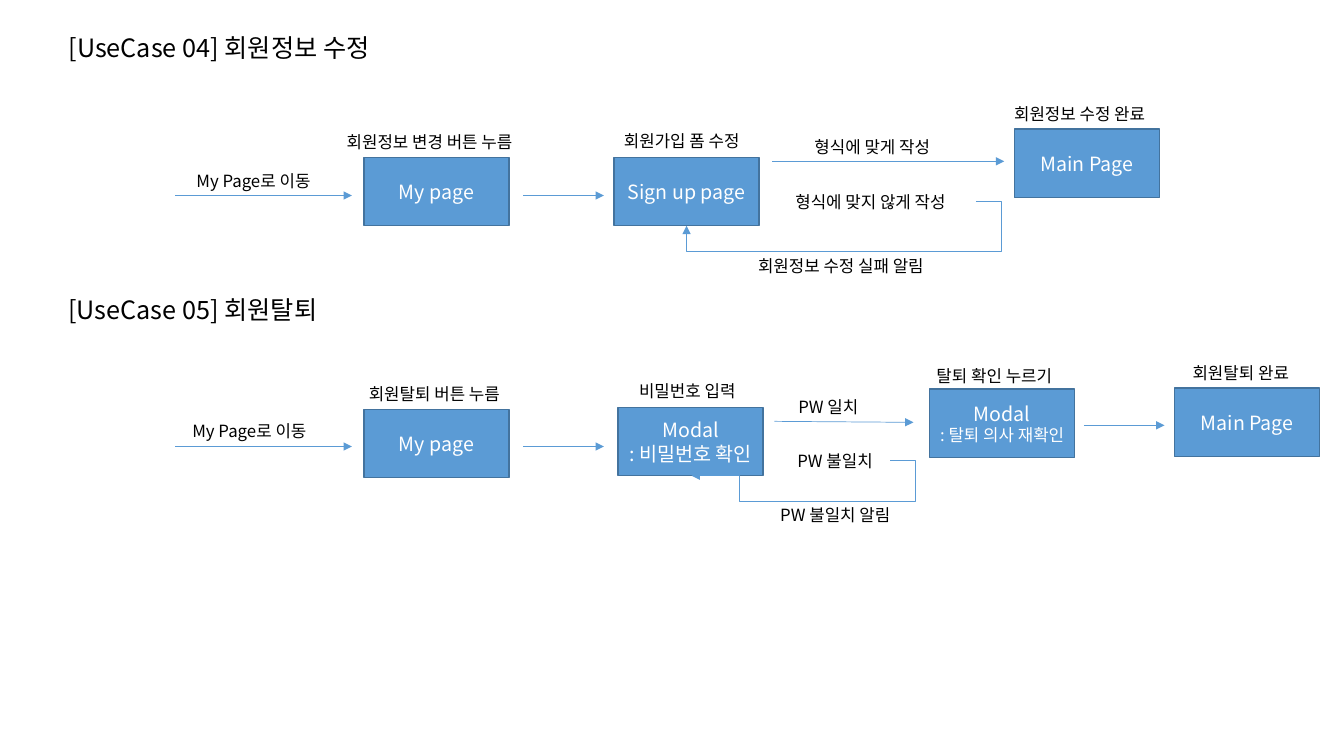
"""Build the use case slide with the profile edit and account withdrawal flows."""
from lxml import etree
from pptx import Presentation
from pptx.dml.color import RGBColor
from pptx.enum.shapes import MSO_CONNECTOR, MSO_SHAPE
from pptx.enum.text import MSO_ANCHOR, MSO_AUTO_SIZE, PP_ALIGN
from pptx.oxml.ns import qn
from pptx.util import Pt

PX = 9144
FONT = "Noto Sans CJK KR"
COLORS = {"black": "000000", "white": "FFFFFF", "blue": "5B9BD5", "edge": "43739E"}
STRAIGHT, ELBOW = MSO_CONNECTOR.STRAIGHT, MSO_CONNECTOR.ELBOW
RECTANGLE = MSO_SHAPE.RECTANGLE
TOP, MIDDLE = MSO_ANCHOR.TOP, MSO_ANCHOR.MIDDLE
LEFT, CENTER = PP_ALIGN.LEFT, PP_ALIGN.CENTER
GROW = MSO_AUTO_SIZE.SHAPE_TO_FIT_TEXT
BOX_WIDTH, BOX_HEIGHT, LABEL_HEIGHT, HEADING_HEIGHT = 144, 68, 30, 40


def write(frame, lines, color, align, anchor):
    """Fill a text frame with (text, size) lines."""
    frame.vertical_anchor = anchor
    for index, (text, size) in enumerate(lines):
        para = frame.add_paragraph() if index else frame.paragraphs[0]
        para.alignment = align
        span = para.add_run()
        span.text = text
        span.font.size = Pt(size)
        span.font.name = FONT
        span.font.color.rgb = RGBColor.from_string(COLORS[color])
        east_asian = etree.SubElement(span.font._element, qn("a:ea"))
        east_asian.set("typeface", FONT)


def connect(page, kind, points):
    """Draw a thin blue arrow and return it."""
    arrow = page.shapes.add_connector(kind, *(value * PX for value in points))
    arrow.line.color.rgb = RGBColor.from_string(COLORS["blue"])
    arrow.line.width = Pt(0.5)
    head = etree.SubElement(arrow.line._get_or_add_ln(), qn("a:tailEnd"))
    head.set("type", "triangle")
    etree.SubElement(arrow._element.spPr, qn("a:effectLst"))
    return arrow


deck = Presentation()
deck.slide_width, deck.slide_height = 1333 * PX, 750 * PX
page = deck.slides.add_slide(deck.slide_layouts[5])

title = page.shapes.title
title.left, title.top = 58 * PX, 27 * PX
title.width, title.height = 326 * PX, HEADING_HEIGHT * PX
title.text_frame.word_wrap = False
title.text_frame.auto_size = GROW
write(title.text_frame, [("[UseCase 04] 회원정보 수정", 18)], "black", LEFT, TOP)

steps = [
    (361, 156, [("My page", 14)]),
    (609, 156, [("Sign up page", 14)]),
    (1006, 128, [("Main Page", 14)]),
    (361, 406, [("My page", 14)]),
    (613, 404, [("Modal", 14), (": 비밀번호 확인", 14)]),
    (922, 386, [("Modal", 14), (": 탈퇴 의사 재확인", 12)]),
    (1165, 385, [("Main Page", 14)]),
]
for left, top, lines in steps:
    box = page.shapes.add_shape(RECTANGLE, left * PX, top * PX, BOX_WIDTH * PX, BOX_HEIGHT * PX)
    box.shadow.inherit = False
    box.fill.solid()
    box.fill.fore_color.rgb = RGBColor.from_string(COLORS["blue"])
    box.line.color.rgb = RGBColor.from_string(COLORS["edge"])
    box.line.width = Pt(1)
    box.text_frame.word_wrap = True
    write(box.text_frame, lines, "white", CENTER, MIDDLE)

labels = [
    (58, 287, 276, HEADING_HEIGHT, 18, False, "[UseCase 05] 회원탈퇴"),
    (334, 126, 206, LABEL_HEIGHT, 12, True, "회원정보 변경 버튼 누름"),
    (356, 376, 206, LABEL_HEIGHT, 12, True, "회원탈퇴 버튼 누름"),
]
notes = [
    (185, 164, 143, "My Page로 이동"),
    (609, 125, 150, "회원가입 폼 수정"),
    (798, 131, 150, "형식에 맞게 작성"),
    (779, 185, 190, "형식에 맞지 않게 작성"),
    (742, 249, 206, "회원정보 수정 실패 알림"),
    (996, 98, 167, "회원정보 수정 완료"),
    (181, 412, 143, "My Page로 이동"),
    (624, 373, 127, "비밀번호 입력"),
    (782, 389, 86, "PW 일치"),
    (781, 442, 103, "PW 불일치"),
    (764, 496, 142, "PW 불일치 알림"),
    (919, 358, 150, "탈퇴 확인 누르기"),
    (1173, 355, 127, "회원탈퇴 완료"),
]
labels += [(left, top, width, LABEL_HEIGHT, 12, False, text) for left, top, width, text in notes]
for left, top, width, height, size, wrap, text in labels:
    label = page.shapes.add_textbox(left * PX, top * PX, width * PX, height * PX)
    label.text_frame.word_wrap = wrap
    label.text_frame.auto_size = GROW
    write(label.text_frame, [(text, size)], "black", LEFT, TOP)

arrows = [
    (174, 194, 349, 194),
    (519, 194, 599, 194),
    (766, 160, 996, 160),
    (174, 443, 349, 443),
    (519, 443, 599, 443),
    (768, 418, 906, 419),
    (1075, 422, 1155, 422),
]
for points in arrows:
    connect(page, STRAIGHT, points)

returns = [
    ((968, 200, 681, 224), "bentConnector4", (-8700, 205700)),
    ((883, 457, 686, 472), "bentConnector5", (-12600, 269400, 76000)),
]
for points, preset, bends in returns:
    geometry = connect(page, ELBOW, points)._element.spPr.find(qn("a:prstGeom"))
    geometry.set("prst", preset)
    for number, bend in enumerate(bends, 1):
        guide = etree.SubElement(geometry.find(qn("a:avLst")), qn("a:gd"))
        guide.set("name", f"adj{number}")
        guide.set("fmla", f"val {bend}")

deck.save("out.pptx")
